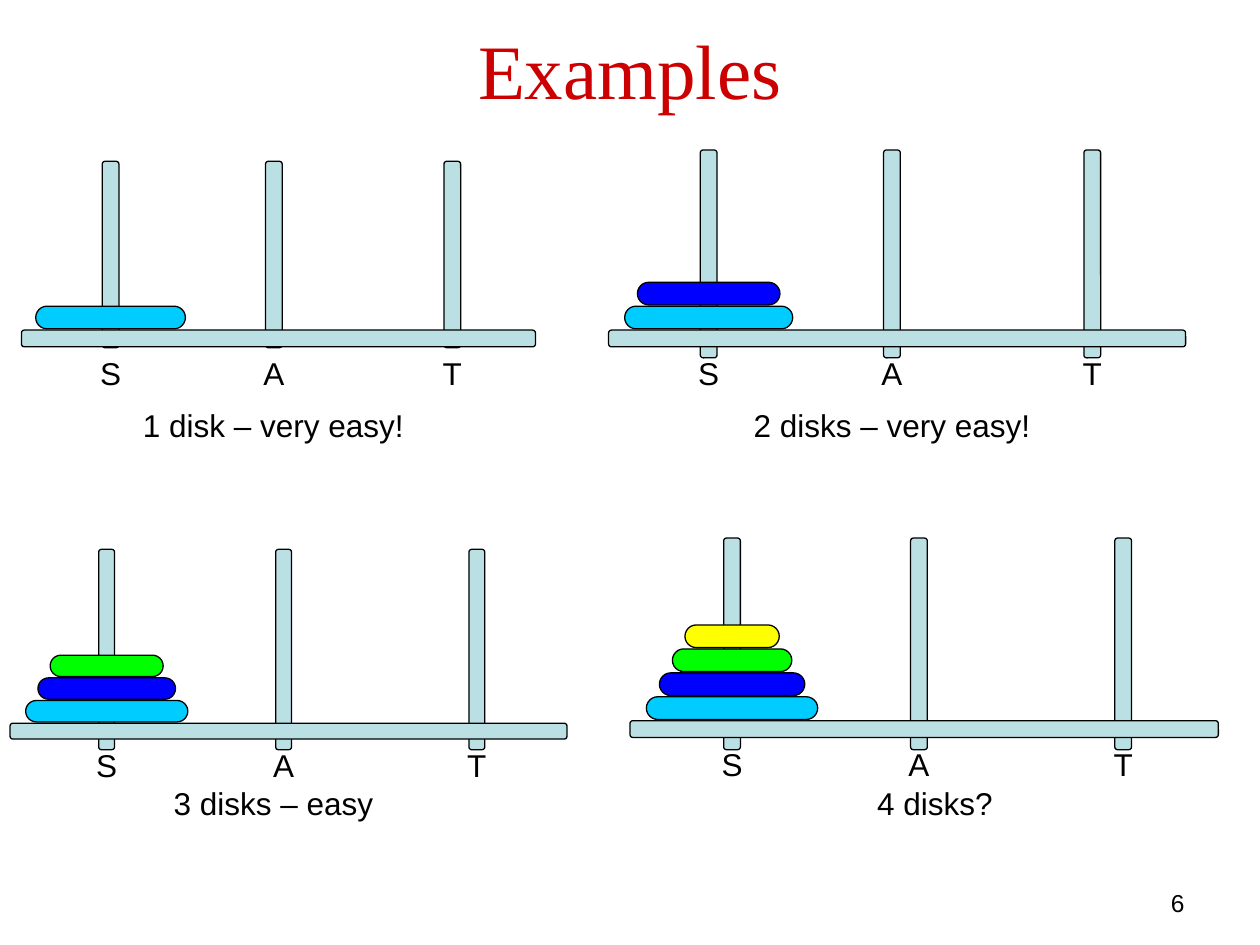
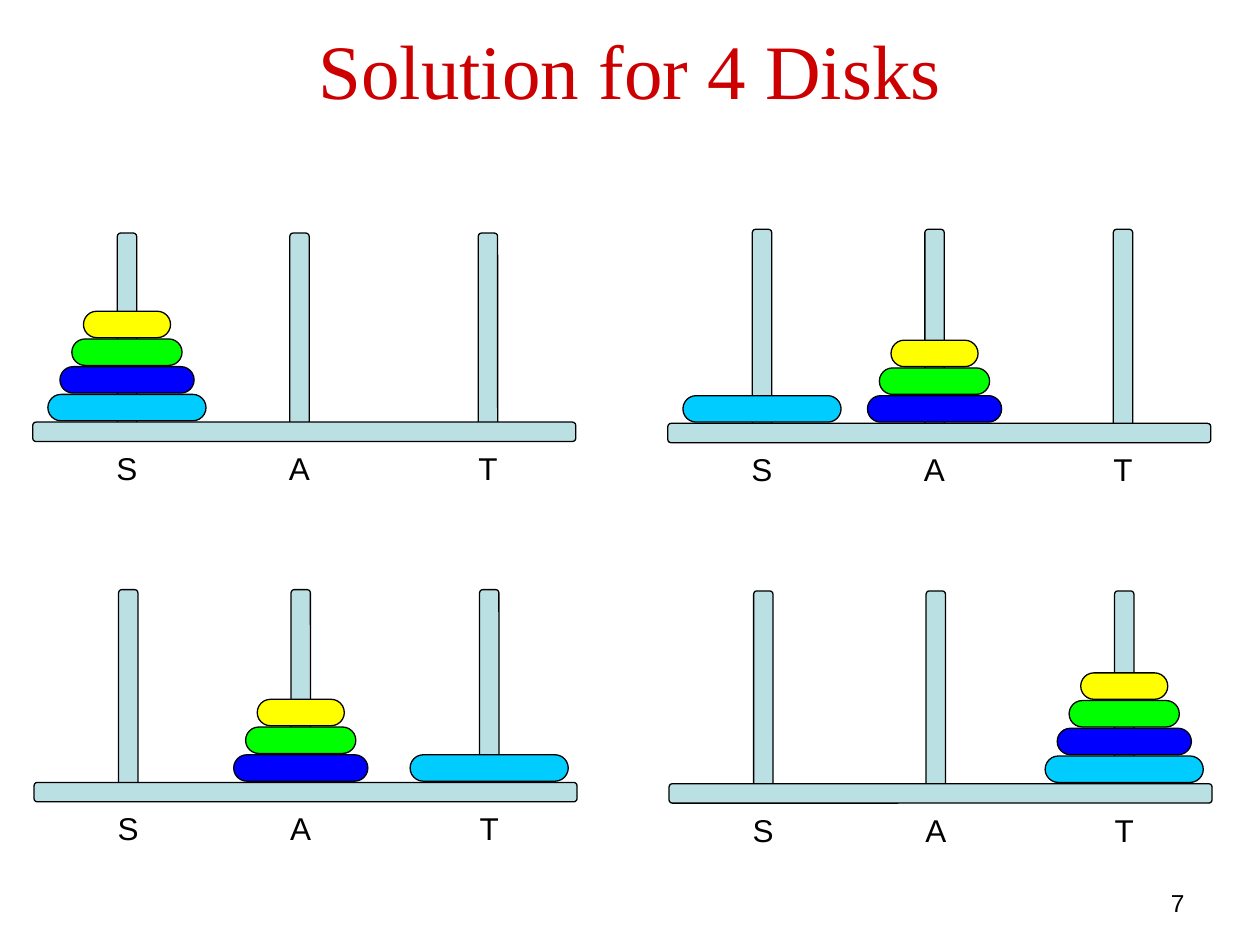
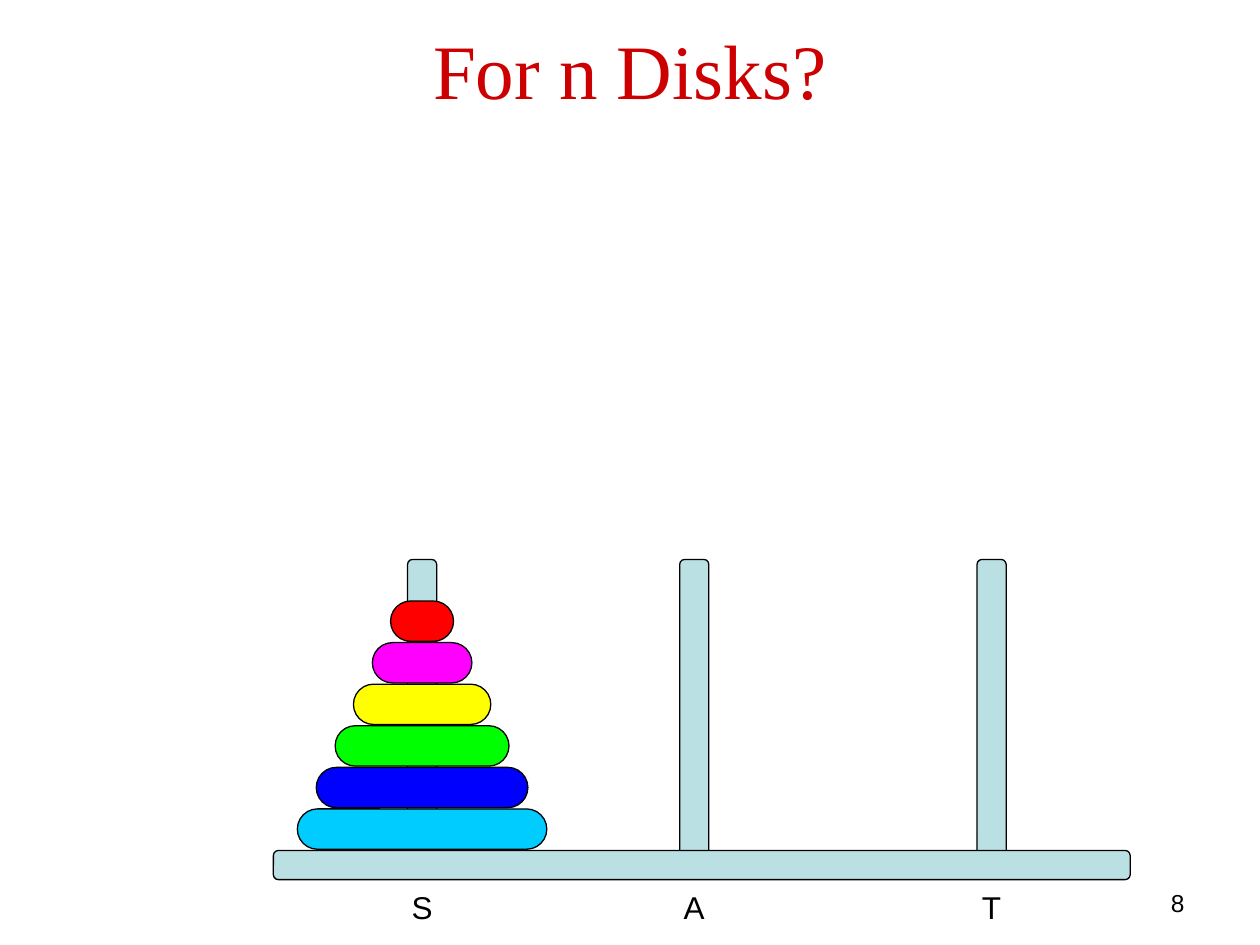
import pptx
import pptx.dml.color
import pptx.enum.shapes
import pptx.enum.text
import pptx.util

Inches = pptx.util.Inches
RGBColor = pptx.dml.color.RGBColor
ALIGN = pptx.enum.text.PP_ALIGN

BLACK = RGBColor(0x00, 0x00, 0x00)
TITLE_RED = RGBColor(0xCC, 0x00, 0x00)
WOOD = RGBColor(0xBB, 0xE0, 0xE3)
SKY = RGBColor(0x00, 0xCC, 0xFF)
BLUE = RGBColor(0x00, 0x00, 0xFF)
GREEN = RGBColor(0x00, 0xFF, 0x00)
YELLOW = RGBColor(0xFF, 0xFF, 0x00)
MAGENTA = RGBColor(0xFF, 0x00, 0xFF)
RED = RGBColor(0xFF, 0x00, 0x00)

FULL_BOARD_WIDTH = 6.8
POST_OFFSETS = {"S": 1.18, "A": 3.34, "T": 5.7}
DISK_SIZES = [(SKY, 1.98), (BLUE, 1.68), (GREEN, 1.38), (YELLOW, 1.09), (MAGENTA, 0.79), (RED, 0.5)]
DISK_GAP = 0.01
LABEL_WIDTH = 0.5
CAPTION_WIDTH = 3.5

# Each tower: board left, board top, board width, post top, post bottom, disk pitch,
# and the post of every disk from largest to smallest.
SLIDES = [
    ("Examples", 6, [
        (0.17, 2.62, 4.08, 1.28, 2.76, 0.19, "S"),
        (4.83, 2.62, 4.58, 1.19, 2.84, 0.19, "SS"),
        (0.08, 5.74, 4.42, 4.36, 5.95, 0.18, "SSS"),
        (5, 5.72, 4.67, 4.27, 5.95, 0.19, "SSSS"),
    ], [
        (0.42, 3.17, "1 disk – very easy!"),
        (5.33, 3.17, "2 disks – very easy!"),
        (0.42, 6.17, "3 disks – easy"),
        (5.67, 6.17, "4 disks?"),
    ]),
    ("Solution for 4 Disks", 7, [
        (0.26, 3.35, 4.31, 1.85, 3.45, 0.22, "SSSS"),
        (0.27, 6.21, 4.31, 4.68, 6.31, 0.22, "TAAA"),
        (5.3, 3.36, 4.31, 1.82, 3.45, 0.22, "SAAA"),
        (5.31, 6.22, 4.31, 4.69, 6.32, 0.22, "TTTT"),
    ], []),
    ("For n Disks?", 8, [
        (2.17, 6.75, 6.8, 4.44, 6.89, 0.33, "SSSSSS"),
    ], []),
]


def add_text(slide, text, left, top, width, height, size=18, font="Arial", color=BLACK, align=ALIGN.CENTER):
    box = slide.shapes.add_textbox(Inches(left), Inches(top), Inches(width), Inches(height))
    box.text_frame.word_wrap = True
    paragraph = box.text_frame.paragraphs[0]
    paragraph.text = text
    paragraph.alignment = align
    paragraph.font.size = pptx.util.Pt(size)
    paragraph.font.name = font
    paragraph.font.color.rgb = color
    return box


def add_rounded(slide, left, top, width, height, color, rounding=0.17):
    shape = slide.shapes.add_shape(
        pptx.enum.shapes.MSO_SHAPE.ROUNDED_RECTANGLE,
        Inches(left), Inches(top), Inches(width), Inches(height))
    shape.adjustments[0] = rounding
    shape.shadow.inherit = False
    shape.fill.solid()
    shape.fill.fore_color.rgb = color
    shape.line.color.rgb = BLACK
    shape.line.width = pptx.util.Pt(0.75)


presentation = pptx.Presentation()
presentation.slide_width = Inches(10)
presentation.slide_height = Inches(7.5)

for title, number, towers, captions in SLIDES:
    slide = presentation.slides.add_slide(presentation.slide_layouts[6])
    add_text(slide, str(number), 7.17, 7, 2.33, 0.25, size=14, align=ALIGN.RIGHT)
    title_box = add_text(slide, title, 0.5, -0.08, 9, 1.25, 44, "Times New Roman", TITLE_RED)
    title_box.text_frame.vertical_anchor = pptx.enum.text.MSO_ANCHOR.MIDDLE

    for board_left, board_top, board_width, post_top, post_bottom, pitch, disk_posts in towers:
        scale = board_width / FULL_BOARD_WIDTH
        thickness = 0.7 * pitch
        centers = {name: board_left + offset * scale for name, offset in POST_OFFSETS.items()}
        for center in centers.values():
            add_rounded(slide, center - thickness / 2, post_top, thickness, post_bottom - post_top, WOOD)
        add_rounded(slide, board_left, board_top, board_width, thickness, WOOD)

        for index, (post, (color, size)) in enumerate(zip(disk_posts, DISK_SIZES)):
            level = disk_posts[:index].count(post) + 1
            width = size * scale
            add_rounded(slide, centers[post] - width / 2, board_top - level * pitch,
                        width, pitch - DISK_GAP, color, 0.5)

        for name, center in centers.items():
            add_text(slide, name, center - LABEL_WIDTH / 2, board_top + 0.75 * pitch, LABEL_WIDTH, 0.4)

    for left, top, caption in captions:
        add_text(slide, caption, left, top, CAPTION_WIDTH, 0.4)

presentation.save("out.pptx")
